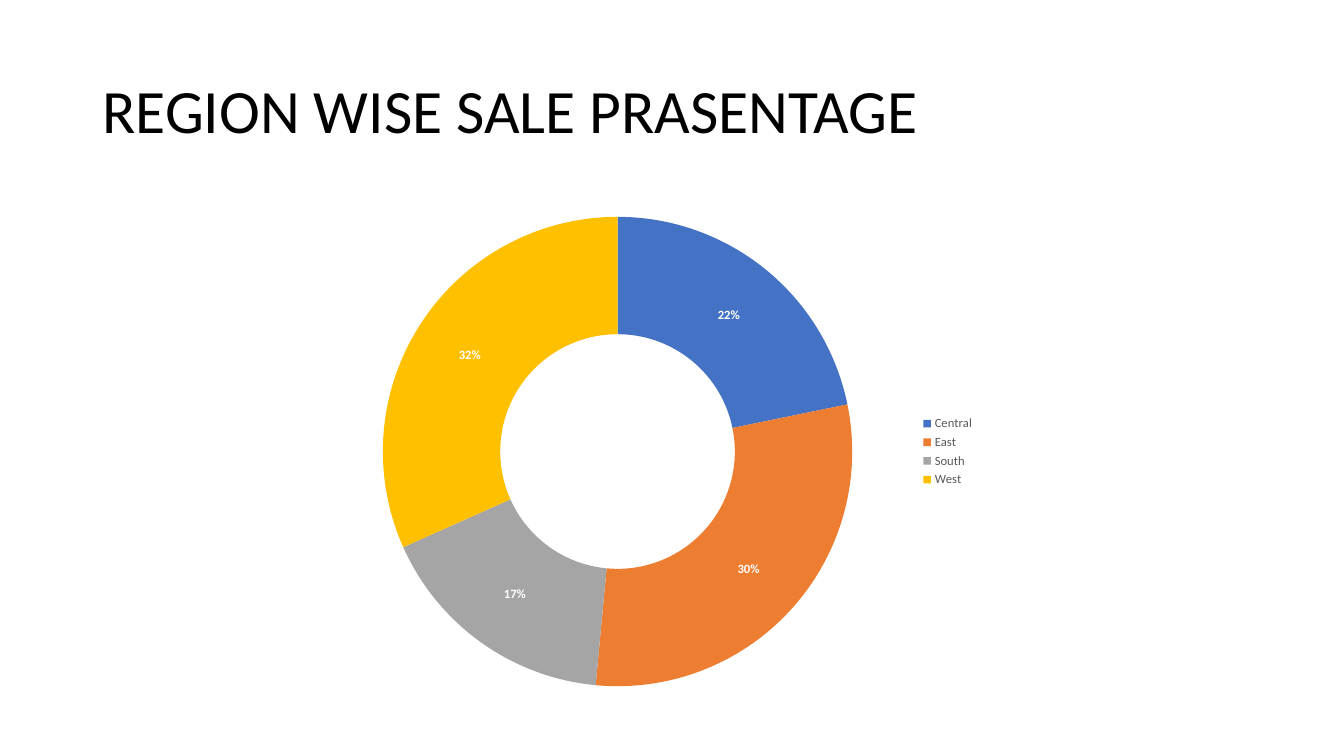
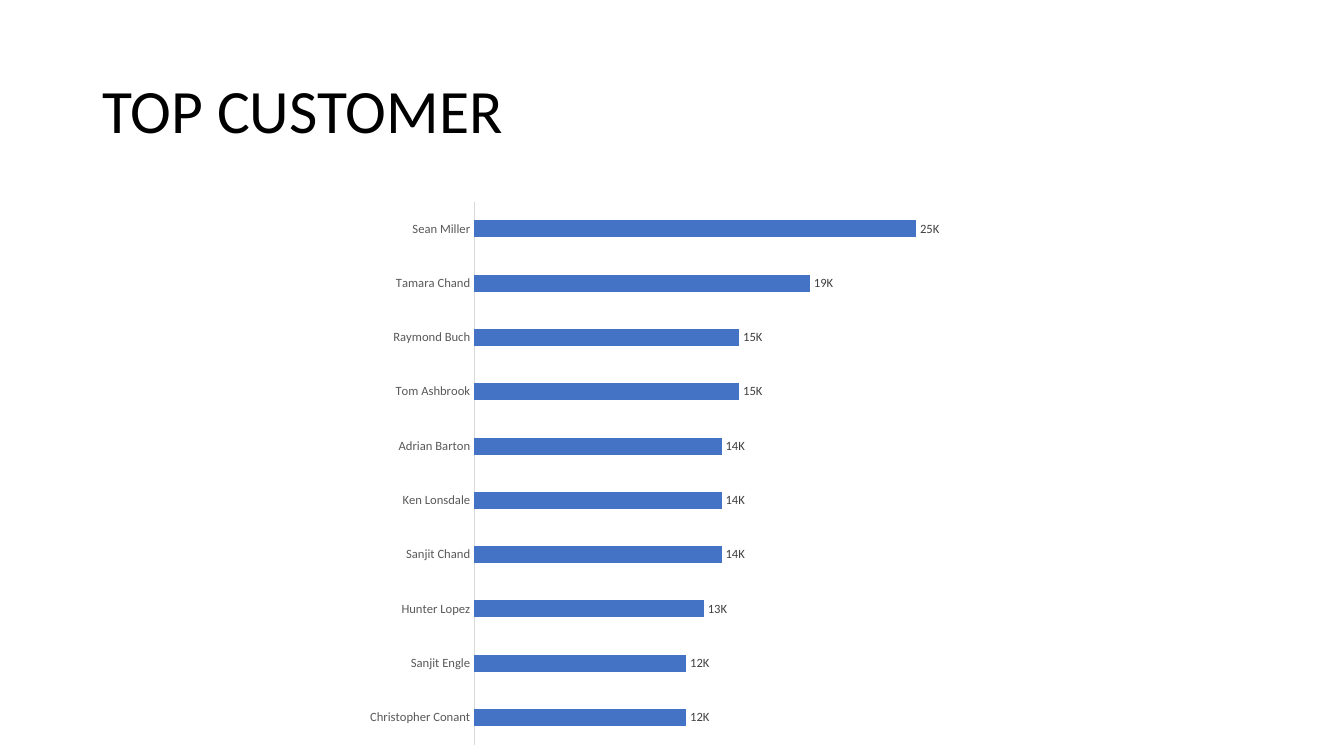
from lxml import etree
from pptx import Presentation
from pptx.chart.data import CategoryChartData
from pptx.dml.color import RGBColor
from pptx.enum import chart as ch, text
from pptx.oxml import ns
from pptx.util import Cm, Pt

FONT = "Calibri"
COLORS = {
    "title": "000000", "muted": "595959", "value": "404040", "axis": "D9D9D9",
    "white": "FFFFFF", "blue": "4472C4", "orange": "ED7D31", "gray": "A5A5A5",
    "gold": "FFC000",
}
REGION_TITLE = "REGION WISE SALE PRASENTAGE"
REGIONS = [
    ("Central", 22, "blue"),
    ("East", 30, "orange"),
    ("South", 17, "gray"),
    ("West", 32, "gold"),
]
CUSTOMER_TITLE = "TOP CUSTOMER"
CUSTOMERS = [
    ("Sean Miller", 25000),
    ("Tamara Chand", 19000),
    ("Raymond Buch", 15000),
    ("Tom Ashbrook", 15000),
    ("Adrian Barton", 14000),
    ("Ken Lonsdale", 14000),
    ("Sanjit Chand", 14000),
    ("Hunter Lopez", 13000),
    ("Sanjit Engle", 12000),
    ("Christopher Conant", 12000),
]
# Chart frames in cm and plot areas as shares of the frame: left, top, width, height
REGION_FRAME, REGION_PLOT = (8.15, 5.08, 16.66, 12.6), (0.09, 0.03, 0.71, 0.94)
CUSTOMER_FRAME, CUSTOMER_PLOT = (8.94, 4.8, 16.71, 14.25), (0.18, 0.02, 0.8, 0.96)


def rgb(name):
    """Return the named colour."""
    return RGBColor.from_string(COLORS[name])


def style_font(font, size, color, bold=False):
    """Set face, size, colour and weight of a font."""
    font.name, font.size, font.bold = FONT, Pt(size), bold
    font.color.rgb = rgb(color)


def add_titled_slide(prs, title):
    """Add a blank slide with the shared title style."""
    slide = prs.slides.add_slide(prs.slide_layouts[6])
    frame = slide.shapes.add_textbox(Cm(2.33), Cm(1.01), Cm(29.21), Cm(3.68)).text_frame
    frame.word_wrap = True
    frame.vertical_anchor = text.MSO_ANCHOR.MIDDLE
    heading = frame.paragraphs[0]
    heading.line_spacing = 0.9
    run = heading.add_run()
    run.text = title
    style_font(run.font, 44, "title")
    return slide


def place_plot(chart, shares):
    """Fix the inner plot area at the given shares of the chart frame."""
    area = chart._chartSpace.find(".//" + ns.qn("c:plotArea"))
    for old in area.findall(ns.qn("c:layout")):
        area.remove(old)
    layout = etree.Element(ns.qn("c:layout"))
    manual = etree.SubElement(layout, ns.qn("c:manualLayout"))
    settings = [("layoutTarget", "inner"), ("xMode", "edge"), ("yMode", "edge")]
    settings += zip("xywh", shares)
    for tag, value in settings:
        etree.SubElement(manual, ns.qn("c:" + tag)).set("val", str(value))
    area.insert(0, layout)


def add_chart(slide, kind, rows, frame, plot_shares):
    """Add a one-series chart and return it with its plot."""
    data = CategoryChartData()
    data.categories = [row[0] for row in rows]
    data.add_series("Series 1", [row[1] for row in rows])
    chart = slide.shapes.add_chart(kind, *map(Cm, frame), data).chart
    chart.has_title = False
    chart.has_legend = False
    style_font(chart.font, 10, "title")
    place_plot(chart, plot_shares)
    return chart, chart.plots[0]


def label_plot(plot, number_format, color, bold=False):
    """Switch on data labels with a number format and return them."""
    plot.has_data_labels = True
    labels = plot.data_labels
    labels.number_format = number_format
    labels.number_format_is_linked = False
    style_font(labels.font, 9, color, bold)
    return labels


def build_regions(prs):
    """Build the doughnut of sales shares by region."""
    slide = add_titled_slide(prs, REGION_TITLE)
    chart, ring = add_chart(slide, ch.XL_CHART_TYPE.DOUGHNUT, REGIONS,
                            REGION_FRAME, REGION_PLOT)
    ring.vary_by_categories = True
    for index, (_, _, color) in enumerate(REGIONS):
        sector = ring.series[0].points[index].format
        sector.fill.solid()
        sector.fill.fore_color.rgb = rgb(color)
        sector.line.fill.background()
    labels = label_plot(ring, "0%", "white", bold=True)
    labels.show_percentage, labels.show_value = True, False
    chart.has_legend = True
    chart.legend.position = ch.XL_LEGEND_POSITION.RIGHT
    chart.legend.include_in_layout = False
    style_font(chart.legend.font, 9, "muted")


def build_customers(prs):
    """Build the bar chart of top customers, largest at the top."""
    slide = add_titled_slide(prs, CUSTOMER_TITLE)
    chart, bars = add_chart(slide, ch.XL_CHART_TYPE.BAR_CLUSTERED, CUSTOMERS[::-1],
                            CUSTOMER_FRAME, CUSTOMER_PLOT)
    bars.vary_by_categories = False
    bars.gap_width = 219
    fill = bars.series[0].format.fill
    fill.solid()
    fill.fore_color.rgb = rgb("blue")
    labels = label_plot(bars, "#,\\K", "value")
    labels.show_value = True
    labels.position = ch.XL_LABEL_POSITION.OUTSIDE_END

    names, amounts = chart.category_axis, chart.value_axis
    names.major_tick_mark = names.minor_tick_mark = ch.XL_TICK_MARK.NONE
    names.has_major_gridlines = False
    names.format.line.color.rgb = rgb("axis")
    names.format.line.width = Pt(0.75)
    style_font(names.tick_labels.font, 9, "muted")
    amounts.minimum_scale, amounts.maximum_scale = 0, 30000
    amounts.has_major_gridlines = False
    amounts.visible = False


prs = Presentation()
prs.slide_width, prs.slide_height = Cm(33.87), Cm(19.05)
build_regions(prs)
build_customers(prs)
prs.save("out.pptx")
